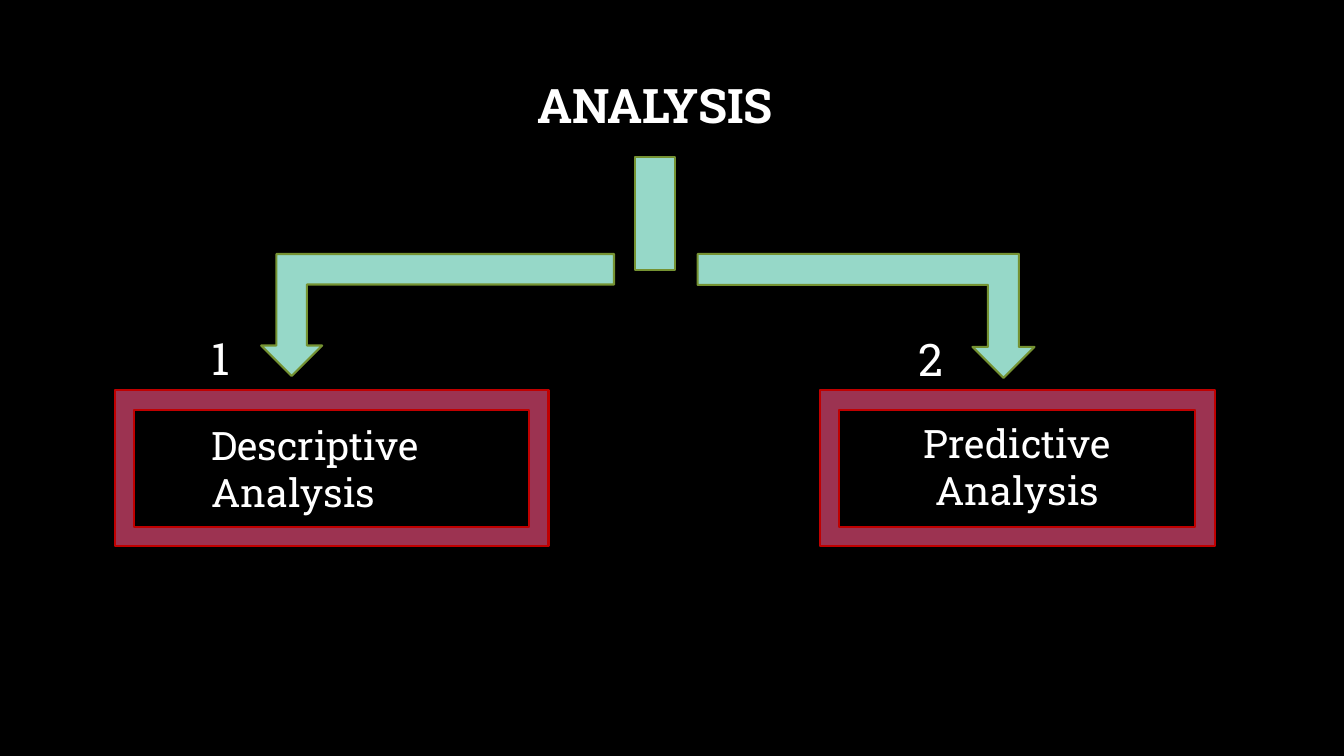
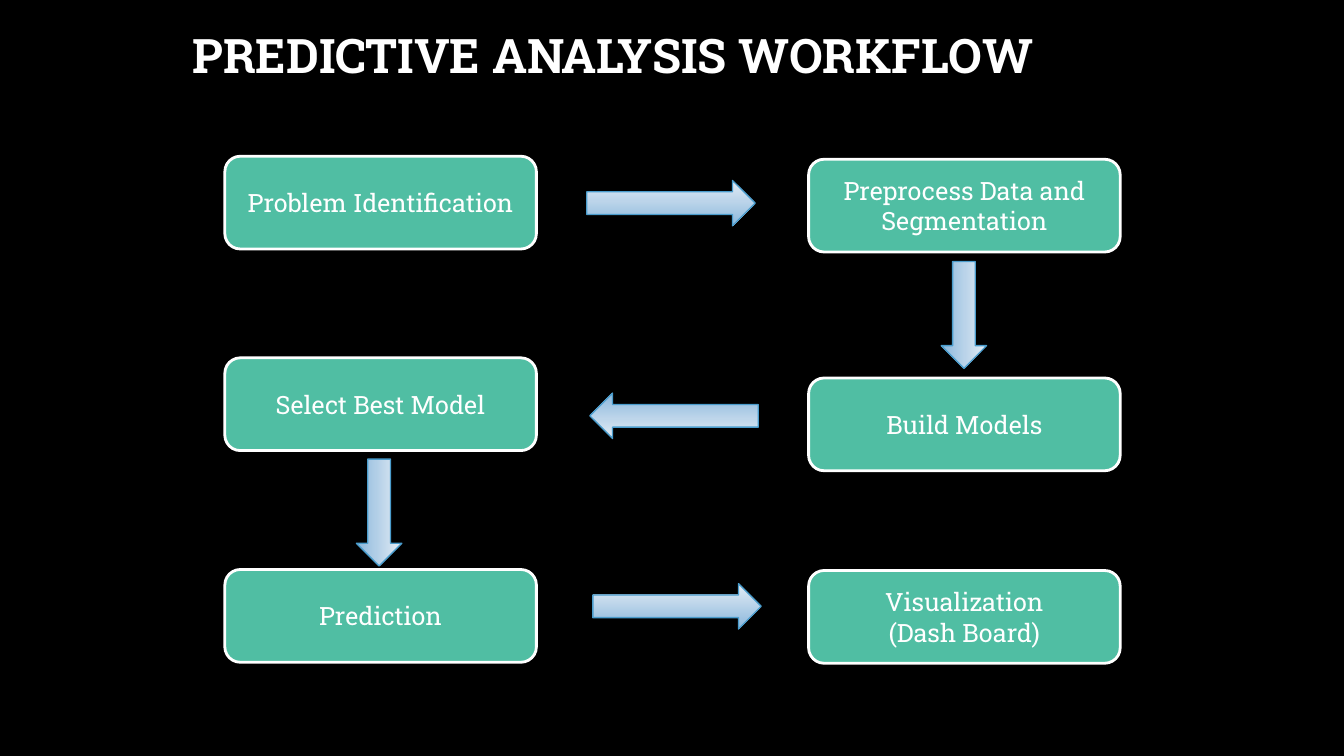
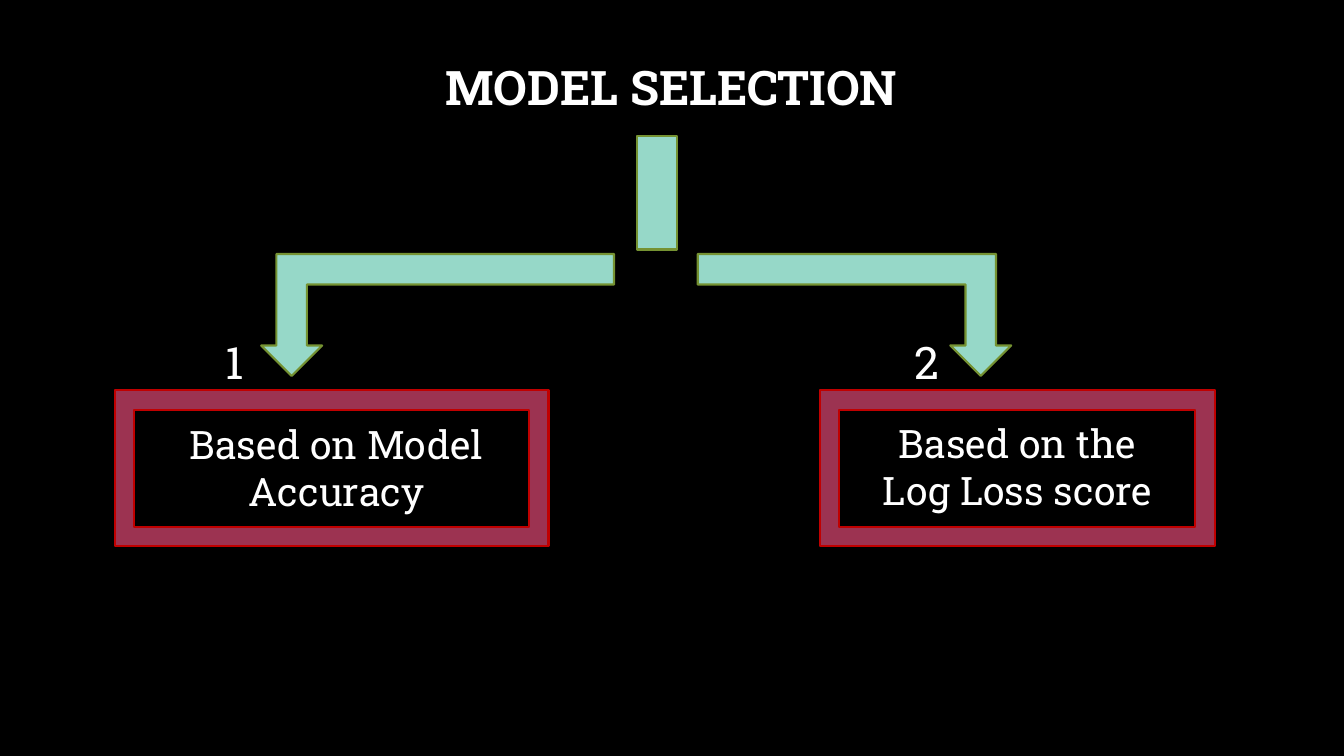
from pptx import Presentation
from pptx.dml.color import RGBColor as RGB
from pptx.enum.shapes import MSO_SHAPE as Kind
from pptx.enum.text import MSO_ANCHOR as Anchor, MSO_AUTO_SIZE as Fit, PP_ALIGN as Align
from pptx.util import Pt

PX = 9144  # EMU per px, 100 px to the inch


class Theme:
    font = "Roboto Slab"
    back = RGB.from_string("000000")
    white = RGB.from_string("FFFFFF")
    mint, olive = RGB.from_string("96D8C8"), RGB.from_string("759232")
    wine, red = RGB.from_string("9C3351"), RGB.from_string("C00000")
    teal = RGB.from_string("50BEA3")
    pale, sky, blue = (RGB.from_string(c) for c in ("E3ECF5", "8CB8DC", "4A9CCC"))
    title, digit, label, step = 34, 32, 28, 18


def draw(slide, kind, box, fill, line, width):
    """Add a preset shape; a pair of fill colours makes a downward gradient."""
    shape = slide.shapes.add_shape(kind, *(n * PX for n in box))
    shape.shadow.inherit = False
    if isinstance(fill, list):
        shape.fill.gradient()
        shape.fill.gradient_angle = 270
        for stop, color in zip(shape.fill.gradient_stops, fill):
            stop.color.rgb = color
    else:
        shape.fill.solid()
        shape.fill.fore_color.rgb = fill
    shape.line.color.rgb = line
    shape.line.width = Pt(width)
    return shape


def write(shape, text, size, align, bold=False):
    frame = shape.text_frame
    frame.word_wrap = True
    frame.text = text
    for par in frame.paragraphs:
        par.alignment = align
        par.font.name = Theme.font
        par.font.size = Pt(size)
        par.font.bold = bold
        par.font.color.rgb = Theme.white
    return frame


prs = Presentation()
prs.slide_width, prs.slide_height = 1333 * PX, 750 * PX
back = prs.slide_master.background.fill
back.solid()
back.fore_color.rgb = Theme.back

# Slides and titles
slides = []
for text, box in [
    ("ANALYSIS", (84, 35, 1132, 145)),
    ("PREDICTIVE ANALYSIS WORKFLOW", (42, 26, 1132, 64)),
    ("MODEL SELECTION", (100, 29, 1132, 121)),
]:
    slide = prs.slides.add_slide(prs.slide_layouts[5])
    title = slide.shapes.title
    title.left, title.top, title.width, title.height = (n * PX for n in box)
    frame = write(title, text, Theme.title, Align.CENTER, bold=True)
    frame.auto_size = Fit.NONE
    frame.vertical_anchor = Anchor.MIDDLE
    frame.paragraphs[0].line_spacing = 0.9
    slides.append(slide)
first, flow, last = slides

# Two-way forks
for slide, stem, bend, notes in [
    (first, (623, -27), (334, 123), [
        ("Descriptive Analysis", (200, 413, 368, 104), Theme.label, Align.LEFT),
        ("Predictive Analysis", (862, 411, 294, 104), Theme.label, Align.CENTER),
        ("1", (200, 323, 44, 64), Theme.digit, Align.LEFT),
        ("2", (901, 324, 45, 64), Theme.digit, Align.LEFT),
    ]),
    (last, (625, -47), (311, 121), [
        ("Based on Model Accuracy", (123, 412, 421, 104), Theme.label, Align.CENTER),
        ("Based on the Log Loss score", (862, 411, 294, 104), Theme.label, Align.CENTER),
        ("1", (214, 327, 45, 64), Theme.digit, Align.LEFT),
        ("2", (897, 327, 46, 64), Theme.digit, Align.LEFT),
    ]),
]:
    mint = Theme.mint, Theme.olive, 1.5
    left = draw(slide, Kind.BENT_UP_ARROW, (259, 252, 350, 121), *mint)
    left.rotation = 180
    right = draw(slide, Kind.BENT_UP_ARROW, (692, 252, *bend), *mint)
    right._element.spPr.xfrm.set("flipV", "1")
    draw(slide, Kind.MATH_MINUS, (*stem, 54, 477), *mint)
    for x, wide in [(813, 392), (114, 430)]:
        draw(slide, Kind.FRAME, (x, 387, wide, 155), Theme.wine, Theme.red, 1.5)
    for text, box, size, align in notes:
        note = slide.shapes.add_textbox(*(n * PX for n in box))
        write(note, text, size, align).auto_size = Fit.SHAPE_TO_FIT_TEXT

# Workflow
for text, x, y in [
    ("Problem Identification", 223, 155),
    ("Preprocess Data and Segmentation", 802, 158),
    ("Build Models", 802, 375),
    ("Select Best Model", 223, 355),
    ("Prediction", 223, 565),
    ("Visualization\n(Dash Board)", 802, 566),
]:
    step = draw(flow, Kind.ROUNDED_RECTANGLE, (x, y, 309, 92), Theme.teal, Theme.white, 2)
    write(step, text, Theme.step, Align.CENTER).vertical_anchor = Anchor.MIDDLE

for x, y, wide, turn in [
    (582, 179, 167, 0),
    (903, 290, 106, 90),
    (585, 390, 167, 180),
    (323, 486, 106, 90),
    (588, 579, 167, 0),
]:
    arrow = draw(flow, Kind.RIGHT_ARROW, (x, y, wide, 45),
                 [Theme.pale, Theme.sky], Theme.blue, 1)
    arrow.rotation = turn

prs.save("out.pptx")
